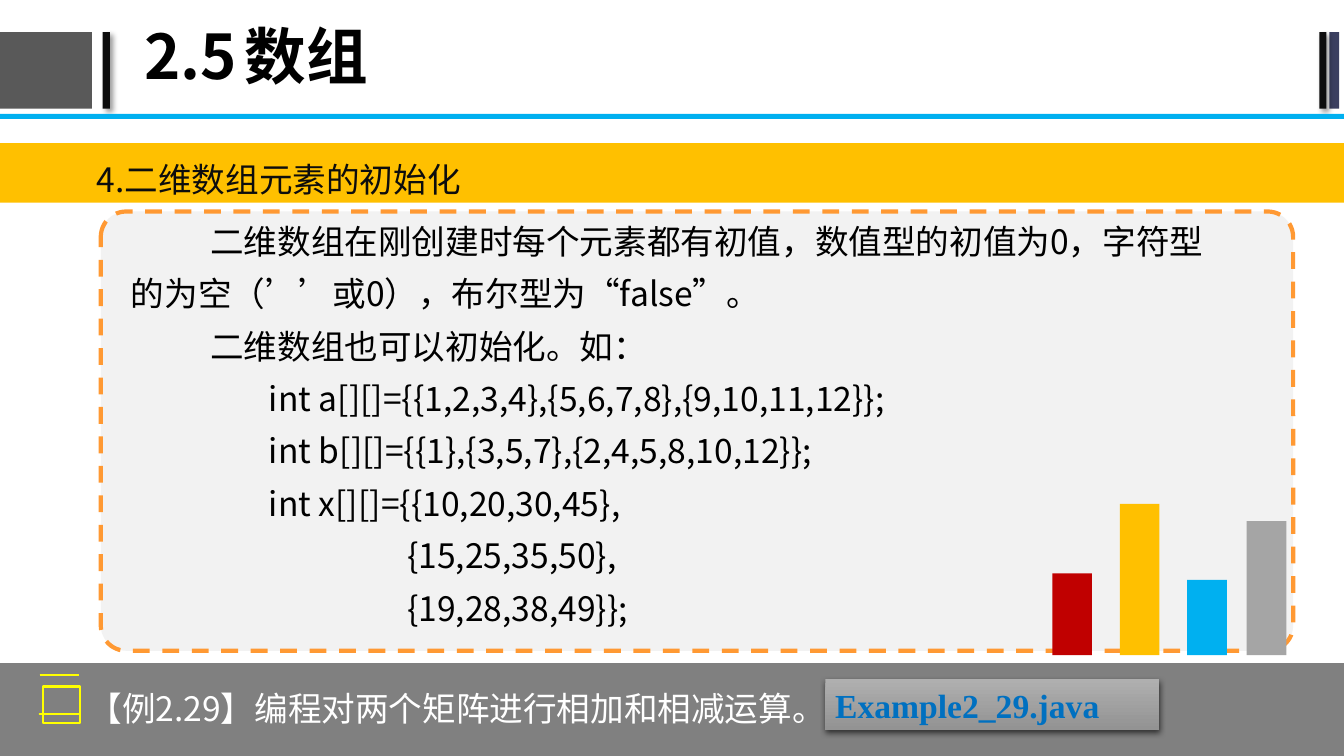
from math import cos, radians, sin

from lxml import etree
from pptx import Presentation
from pptx.dml.color import RGBColor
from pptx.enum.dml import MSO_LINE
from pptx.enum.shapes import MSO_SHAPE
from pptx.enum.text import MSO_ANCHOR, PP_ALIGN
from pptx.oxml.ns import qn
from pptx.util import Cm, Pt

RECT = MSO_SHAPE.RECTANGLE
ROUNDED = MSO_SHAPE.ROUNDED_RECTANGLE
DASH = MSO_LINE.DASH
LEFT = PP_ALIGN.LEFT
TOP = MSO_ANCHOR.TOP
MIDDLE = MSO_ANCHOR.MIDDLE

WIDTH, HEIGHT = 33.87, 19.05
SANS = "Noto Sans CJK SC"
SERIF = "Times New Roman"
YELLOW = "FFFF00"


def color(value):
    return RGBColor.from_string(value)


class SlideBuilder:
    def __init__(self, page):
        self.page = page
        self.format = {"size": Pt(24), "bold": False}

    def shape(self, x, y, w, h, fill=None, kind=RECT, line=None, weight=1, dash=None):
        box = self.page.shapes.add_shape(kind, Cm(x), Cm(y), Cm(w), Cm(h))
        self.paint(box, fill, line, weight, dash)
        return box

    def paint(self, box, fill, line, weight=1, dash=None):
        box.shadow.inherit = False
        if fill:
            box.fill.solid()
            box.fill.fore_color.rgb = color(fill)
        else:
            box.fill.background()
        if line:
            box.line.color.rgb = color(line)
            box.line.width = Pt(weight)
            box.line.dash_style = dash
        else:
            box.line.fill.background()

    def outline(self, points, closed=False):
        builder = self.page.shapes.build_freeform(*points[0], scale=Cm(1))
        builder.add_line_segments(points[1:], close=closed)
        self.paint(builder.convert_to_shape(), None, YELLOW, 1.5)

    def shadow(self, box, alpha, blur, distance, angle):
        effects = box._element.spPr.find(qn("a:effectLst"))
        outer = etree.SubElement(
            effects, qn("a:outerShdw"), blurRad=str(Pt(blur)), dist=str(Pt(distance)),
            dir=str(angle * 60000), algn="ctr", rotWithShape="0")
        tint = etree.SubElement(outer, qn("a:srgbClr"), val="000000")
        etree.SubElement(tint, qn("a:alpha"), val=str(alpha * 1000))

    def gradient(self, box, start, end):
        box.fill.gradient()
        box.fill.gradient_angle = 270
        for stop, value in zip(box.fill.gradient_stops, (start, end)):
            stop.color.rgb = color(value)

    def text(self, x, y, w, h, lines, ink, spacing, anchor=TOP, margins=(0.33, 0.18), **style):
        box = self.page.shapes.add_textbox(Cm(x), Cm(y), Cm(w), Cm(h))
        self.fill_text(box, lines, ink, spacing, anchor, margins, **style)

    def fill_text(self, box, lines, ink, spacing=1.0, anchor=MIDDLE, margins=(0.25, 0.13),
                  font=SANS, tab=None, **style):
        frame = box.text_frame
        side, edge = (Cm(margin) for margin in margins)
        layout = {"word_wrap": True, "vertical_anchor": anchor, "margin_left": side,
                  "margin_right": side, "margin_top": edge, "margin_bottom": edge}
        for name, value in layout.items():
            setattr(frame, name, value)
        for number, (indent, words) in enumerate(lines):
            para = frame.add_paragraph() if number else frame.paragraphs[0]
            para.alignment = LEFT
            para.line_spacing = spacing
            properties = para._p.get_or_add_pPr()
            properties.set("indent", str(Cm(indent)))
            if tab:
                stops = etree.SubElement(properties, qn("a:tabLst"))
                etree.SubElement(stops, qn("a:tab"), pos=str(Cm(tab)), algn="l")
            span = para.add_run()
            span.text = words
            for name, value in {**self.format, **style, "name": font}.items():
                setattr(span.font, name, value)
            span.font.color.rgb = color(ink)
            etree.SubElement(span._r.get_or_add_rPr(), qn("a:ea"), typeface=font)


def draw_header(slide):
    slide.shape(0, 0.81, 2.32, 1.93, "595959")
    slide.shape(33.5, 0.81, 0.25, 1.93, "3B3F60")
    for x in (2.59, 33.25):
        slide.shadow(slide.shape(x, 0.81, 0.18, 1.93, "0D0D0D"), 40, 4, 3, 45)
    slide.text(3.38, 0, 28.58, 3, [(0, "2.5\t数组")], "000000", 0.9, MIDDLE,
               (0.25, 0.13), tab=3.4, size=Pt(44), bold=True)
    slide.shape(0, 2.87, WIDTH, 0.13, "00B0F0")


def draw_content(slide):
    panel = slide.shape(2.54, 5.33, 30.05, 11.07, "F2F2F2", ROUNDED, "FF9933", 3, DASH)
    panel.adjustments[0] = 0.058
    lines = [
        (2, "二维数组在刚创建时每个元素都有初值，数值型的初值为0，字符型的为空（’’或0），布尔型为“false”。"),
        (2, "二维数组也可以初始化。如："),
        (3.48, "int a[][]={{1,2,3,4},{5,6,7,8},{9,10,11,12}};"),
        (3.48, "int b[][]={{1},{3,5,7},{2,4,5,8,10,12}};"),
        (3.48, "int x[][]={{10,20,30,45},"),
        (6.96, "{15,25,35,50},"),
        (6.96, "{19,28,38,49}};"),
    ]
    slide.text(2.97, 5.08, 27.99, 8.61, lines, "000000", 1.3)
    slide.shape(0, 3.61, WIDTH, 1.5, "FFC000")
    slide.text(2.11, 3.61, 25.88, 1.47, [(0, "4.二维数组元素的初始化")], "0D0D0D", 1.2)
    bars = [(26.52, 2.06, "C00000"), (28.22, 3.81, "FFC000"),
            (29.92, 1.9, "00B0F0"), (31.42, 3.38, "A5A5A5")]
    for x, height, fill in bars:
        slide.shape(x, 16.51 - height, 1, height, fill)


def draw_lock(slide):
    slide.shape(1.09, 17.3, 0.92, 0.91, line=YELLOW, weight=1.5)
    for start, right, top, radius in ((1.41, 1.78, 17.02, 0.13), (1.48, 1.71, 17.09, 0.1)):
        bend = [(right - radius + radius * sin(radians(turn)),
                 top + radius - radius * cos(radians(turn))) for turn in range(0, 91, 15)]
        slide.outline([(start, top), *bend, (right, 17.28)])
    bulb = [(1.58 + 0.16 * cos(radians(turn)), 17.71 + 0.16 * sin(radians(turn)))
            for turn in range(120, 421, 15)]
    slide.outline([*bulb, (1.66, 17.92), (1.61, 17.96), (1.55, 17.96), (1.5, 17.92)], True)


def draw_footer(slide):
    slide.shape(0, 16.71, WIDTH, 2.34, "808080")
    draw_lock(slide)
    slide.text(1.9, 16.94, 29.41, 1.96, [(0, "【例2.29】编程对两个矩阵进行相加和相减运算。")],
               "FFFFFF", 1.2)
    button = slide.shape(20.8, 17.12, 8.41, 1.27, "A5A5A5")
    slide.gradient(button, "AFAFAF", "939393")
    slide.shadow(button, 63, 4.5, 1.5, 90)
    slide.fill_text(button, [(0, "Example2_29.java")], "0070C0", font=SERIF, bold=True)


def main():
    deck = Presentation()
    deck.slide_width, deck.slide_height = Cm(WIDTH), Cm(HEIGHT)
    slide = SlideBuilder(deck.slides.add_slide(deck.slide_layouts[6]))
    draw_header(slide)
    draw_content(slide)
    draw_footer(slide)
    deck.save("out.pptx")


if __name__ == "__main__":
    main()
